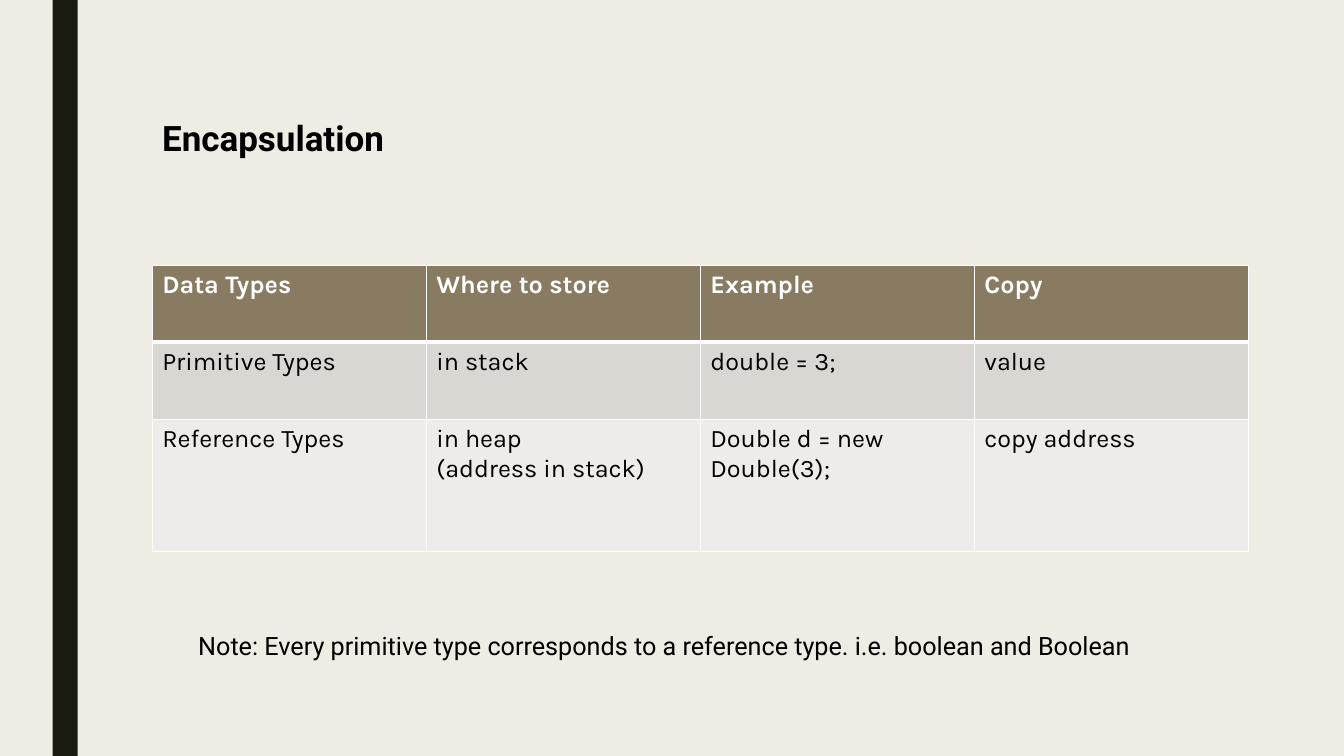
from dataclasses import dataclass

from lxml import etree
from pptx import Presentation
from pptx.dml.color import RGBColor
from pptx.enum.shapes import MSO_SHAPE
from pptx.oxml.ns import qn
from pptx.util import Pt

RECTANGLE = MSO_SHAPE.RECTANGLE


@dataclass(frozen=True)
class Theme:
    background: str = "EFEDE3"
    bar: str = "191B0E"
    header: str = "897B61"
    bands: tuple = ("DAD7D2", "EDECEA")
    border: str = "FFFFFF"
    light: str = "FFFFFF"
    dark: str = "000000"
    heading_font: str = "Roboto"
    table_font: str = "Karla"
    title_size: int = 25
    body_size: int = 18


theme = Theme()


def write(frame, lines, font, size, color, bold=False):
    for index, line in enumerate(lines):
        para = frame.paragraphs[0] if index == 0 else frame.add_paragraph()
        span = para.add_run()
        span.text = line
        span.font.name = font
        span.font.size = Pt(size)
        span.font.bold = bold
        span.font.color.rgb = RGBColor.from_string(color)


def draw_borders(cell, widths):
    properties = cell._tc.get_or_add_tcPr()
    for index, (side, width) in enumerate(widths.items()):
        line = etree.Element(qn(f"a:ln{side}"), w=str(Pt(width)))
        fill = etree.SubElement(line, qn("a:solidFill"))
        etree.SubElement(fill, qn("a:srgbClr"), val=theme.border)
        properties.insert(index, line)


# Page and background
deck = Presentation()
deck.slide_width, deck.slide_height = Pt(960), Pt(540)
page = deck.slides.add_slide(deck.slide_layouts[6])
page.background.fill.solid()
page.background.fill.fore_color.rgb = RGBColor.from_string(theme.background)

# Side bar
bar = page.shapes.add_shape(RECTANGLE, Pt(37.5), Pt(0), Pt(18), Pt(540))
bar.shadow.inherit = False
bar.fill.solid()
bar.fill.fore_color.rgb = RGBColor.from_string(theme.bar)
bar.line.fill.background()

# Title
title_box = page.shapes.add_textbox(Pt(108.75), Pt(80), Pt(375), Pt(98))
title_box.text_frame.word_wrap = True
write(title_box.text_frame, ["Encapsulation"], theme.heading_font,
      theme.title_size, theme.dark, bold=True)

# Table of data types; each cell is a list of lines
rows = [
    [["Data Types"], ["Where to store"], ["Example"], ["Copy"]],
    [["Primitive Types"], ["in stack"], ["double = 3;"], ["value"]],
    [["Reference Types"], ["in heap", "(address in stack)"],
     ["Double d = new Double(3);"], ["copy address"]],
]
row_heights = [55, 55, 94.5]
column_width = 195.75
column_count = len(rows[0])

table = page.shapes.add_table(
    len(rows), column_count, Pt(108.75), Pt(189.5),
    Pt(column_width * column_count), Pt(sum(row_heights))).table
for column in table.columns:
    column.width = Pt(column_width)

for row_index, row in enumerate(rows):
    table.rows[row_index].height = Pt(row_heights[row_index])
    is_header = row_index == 0
    cell_color = theme.header if is_header else theme.bands[row_index - 1]
    text_color = theme.light if is_header else theme.dark
    # The rule under the header is shared with the first body row
    widths = {"L": 1, "R": 1, "T": 3 if row_index == 1 else 1,
              "B": 3 if is_header else 1}
    for column_index, lines in enumerate(row):
        cell = table.cell(row_index, column_index)
        cell.fill.solid()
        cell.fill.fore_color.rgb = RGBColor.from_string(cell_color)
        draw_borders(cell, widths)
        write(cell.text_frame, lines, theme.table_font, theme.body_size,
              text_color, bold=is_header)

# Note below the table
note_box = page.shapes.add_textbox(Pt(134.5), Pt(446.5), Pt(698.5), Pt(51))
note_box.text_frame.word_wrap = False
write(note_box.text_frame,
      ["Note: Every primitive type corresponds to a reference type. "
       "i.e. boolean and Boolean"],
      theme.heading_font, theme.body_size, theme.dark)

deck.save("out.pptx")
